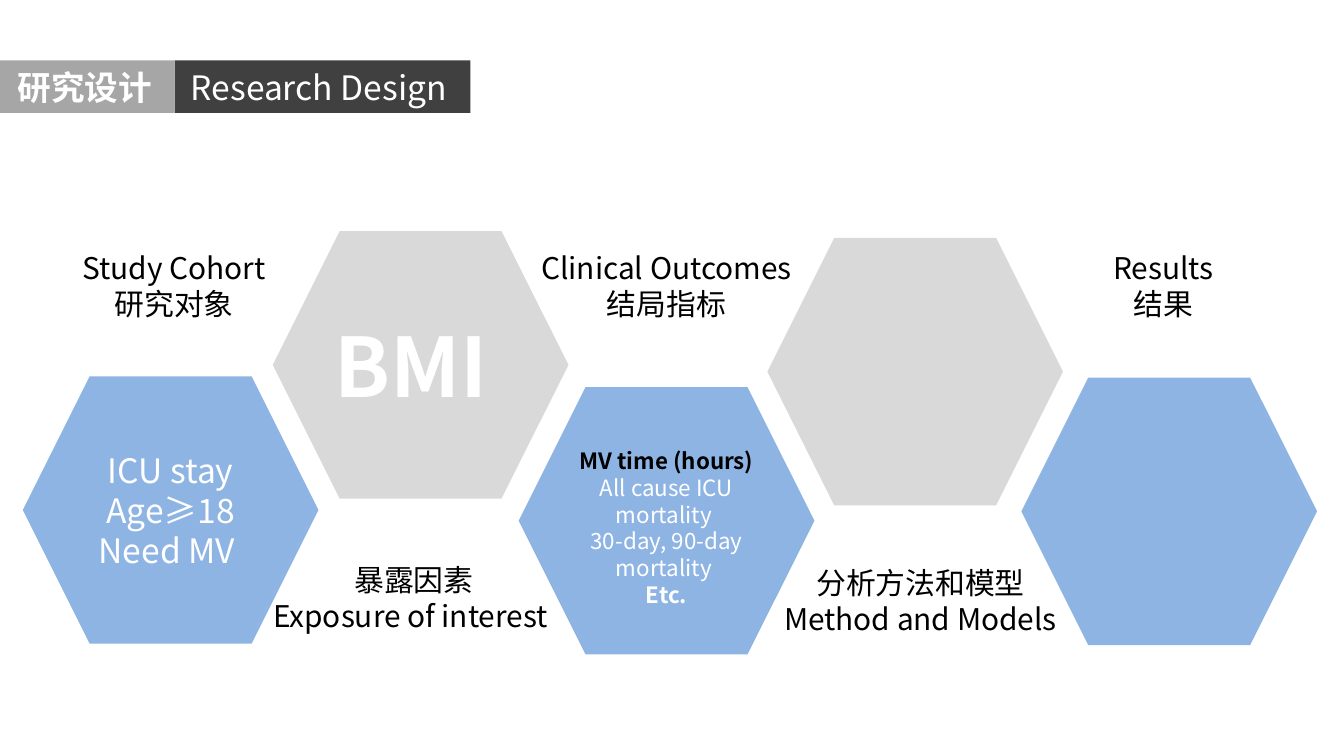
from dataclasses import dataclass

from lxml.etree import SubElement
from pptx import Presentation
from pptx.dml.color import RGBColor
from pptx.enum.shapes import MSO_SHAPE
from pptx.enum.text import MSO_ANCHOR, PP_ALIGN
from pptx.oxml.ns import qn
from pptx.util import Inches, Pt


@dataclass(frozen=True)
class Theme:
    font: str = "Noto Sans CJK SC"
    white: str = "FFFFFF"
    black: str = "000000"
    blue: str = "8EB4E3"
    pale: str = "D9D9D9"
    gray: str = "A6A6A6"
    dark: str = "404040"
    detail: int = 12
    label: int = 16
    heading: int = 18
    hero: int = 44


T = Theme()
SLIDE_W = 10
SLIDE_H = SLIDE_W * 9 / 16
HEX_W, HEX_H = 2.2, 1.99
BAR_Y, BAR_H = 0.45, 0.39
BAR_SPLIT = 1.3
INSET = 0.05

HEXAGONS = [
    (0.17, 2.80, T.blue, T.heading, INSET,
     [("ICU stay", T.white, False), ("Age≥18", T.white, False),
      ("Need MV ", T.white, False)]),
    (2.03, 1.72, T.pale, T.hero, INSET, [("BMI ", T.white, True)]),
    (3.86, 2.88, T.blue, T.detail, 3 * INSET,
     [("MV time (hours)", T.black, True),
      ("All cause ICU mortality ", T.white, False),
      ("30-day, 90-day mortality ", T.white, False),
      ("Etc.", T.white, True)]),
    (5.71, 1.77, T.pale, T.heading, INSET, []),
    (7.60, 2.81, T.blue, T.heading, INSET, []),
]

LABELS = [
    (0.47, 1.81, 1.65, ["Study Cohort研究对象"]),
    (1.93, 4.13, 2.30, ["暴露因素", "Exposure of interest "]),
    (3.81, 1.81, 2.30, ["Clinical Outcomes", "结局指标"]),
    (5.71, 4.15, 2.28, ["分析方法和模型 Method and Models"]),
    (7.83, 1.81, 1.65, ["Results", "结果"]),
]


def write(s, lines, size, top=INSET, anchor=MSO_ANCHOR.MIDDLE):
    tf = s.text_frame
    tf.word_wrap = True
    tf.vertical_anchor = anchor
    tf.margin_top = Inches(top)
    for i, (text, color, bold) in enumerate(lines):
        p = tf.add_paragraph() if i else tf.paragraphs[0]
        p.alignment = PP_ALIGN.CENTER
        r = p.add_run()
        r.text = text
        r.font.size = Pt(size)
        r.font.bold = bold
        r.font.color.rgb = RGBColor.from_string(color)
        r.font.name = T.font
        SubElement(r.font._element, qn("a:ea"), typeface=T.font)


def paint(s, color):
    s.fill.solid()
    s.fill.fore_color.rgb = RGBColor.from_string(color)
    s.line.fill.background()


def add_block(slide, kind, x, y, w, h, color):
    s = slide.shapes.add_shape(kind, Inches(x), Inches(y), Inches(w), Inches(h))
    s.shadow.inherit = False
    paint(s, color)
    return s


def main():
    prs = Presentation()
    prs.slide_width, prs.slide_height = Inches(SLIDE_W), Inches(SLIDE_H)
    slide = prs.slides.add_slide(prs.slide_layouts[5])

    title = slide.shapes.title
    title.left, title.top = Inches(BAR_SPLIT), Inches(BAR_Y)
    title.width, title.height = Inches(2.2), Inches(BAR_H)
    paint(title, T.dark)
    write(title, [("Research Design ", T.white, False)], T.heading)

    tag = add_block(slide, MSO_SHAPE.RECTANGLE, -0.04, BAR_Y,
                    BAR_SPLIT + 0.04, BAR_H, T.gray)
    write(tag, [("研究设计", T.white, True)], T.heading)

    for x, y, color, size, top, lines in HEXAGONS:
        s = add_block(slide, MSO_SHAPE.HEXAGON, x, y, HEX_W, HEX_H, color)
        write(s, lines, size, top)

    for x, y, w, lines in LABELS:
        s = slide.shapes.add_textbox(Inches(x), Inches(y), Inches(w), Inches(0.65))
        write(s, [(text, T.black, False) for text in lines], T.label,
              anchor=MSO_ANCHOR.TOP)

    prs.save("out.pptx")


if __name__ == "__main__":
    main()
